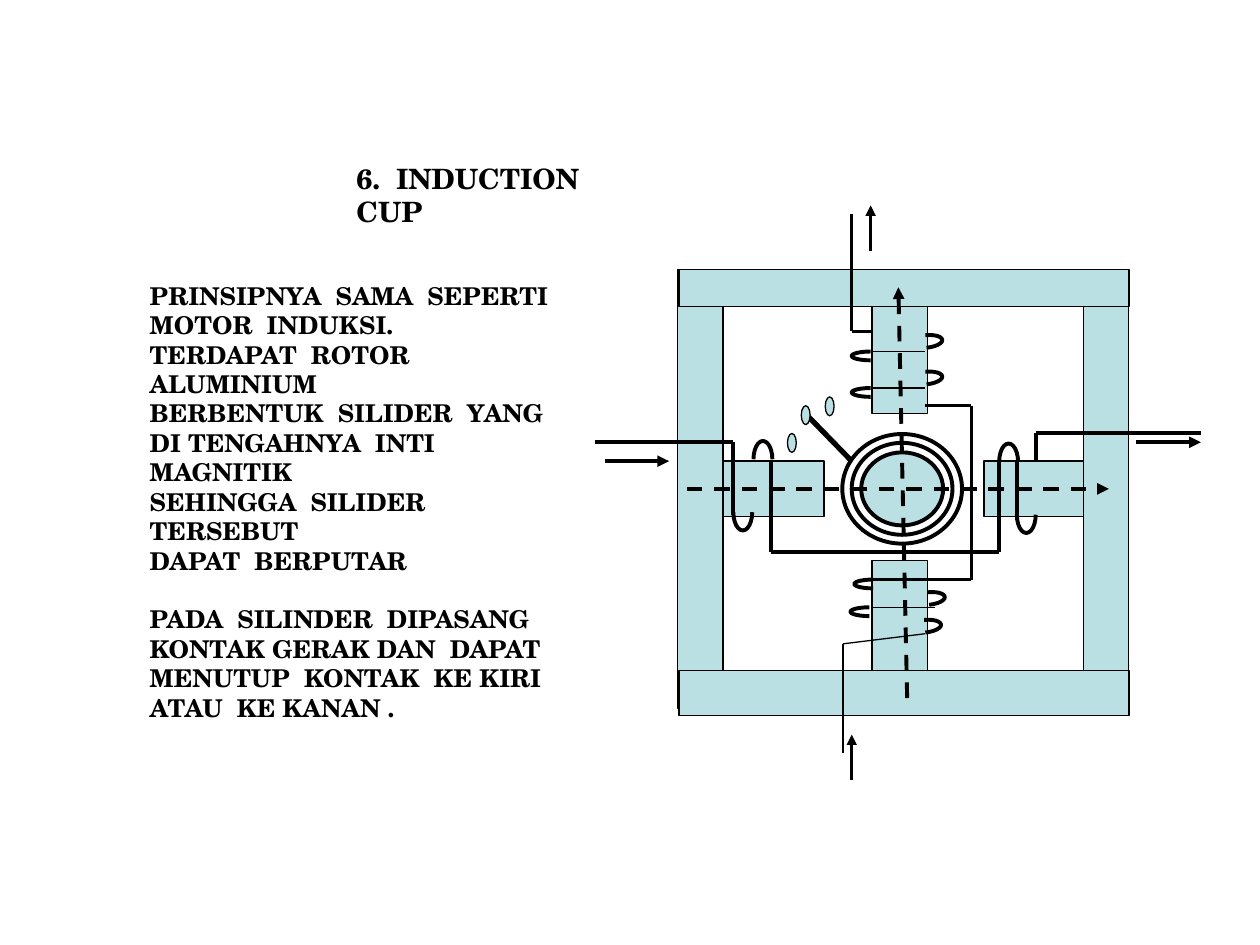
from itertools import pairwise

from pptx import Presentation
from pptx.dml.color import RGBColor
from pptx.enum.dml import MSO_LINE
from pptx.enum.shapes import MSO_CONNECTOR, MSO_SHAPE
from pptx.oxml.ns import qn
from pptx.util import Inches, Pt
from lxml.etree import SubElement

FONT = "TeX Gyre Schola"
COLORS = {"ink": "000000", "iron": "BBE0E3"}
# Start and end angles of half an ellipse, clockwise from the right
HALVES = {"top": (180, 0), "bottom": (0, 180), "left": (90, 270), "right": (270, 90)}
BODY = [
    "PRINSIPNYA  SAMA  SEPERTI",
    "MOTOR  INDUKSI.",
    "TERDAPAT  ROTOR  ALUMINIUM",
    "BERBENTUK  SILIDER  YANG",
    "DI TENGAHNYA  INTI MAGNITIK",
    "SEHINGGA  SILIDER  TERSEBUT",
    "DAPAT  BERPUTAR",
    "PADA  SILINDER  DIPASANG",
    "KONTAK GERAK DAN  DAPAT",
    "MENUTUP  KONTAK  KE KIRI",
    "ATAU  KE KANAN .",
]
SECOND_PART = 7


def color(name):
    return RGBColor.from_string(COLORS[name])


class Diagram:
    """Draws on the page with lengths in inches from its own top left corner."""

    def __init__(self, page, left, top):
        self.shapes, self.left, self.top = page.shapes, left, top

    def point(self, x, y):
        return Inches(self.left + x), Inches(self.top + y)

    def shape(self, kind, x, y, width, height, weight=0.75, fill="iron"):
        shape = self.shapes.add_shape(kind, *self.point(x, y), Inches(width), Inches(height))
        shape.shadow.inherit = False
        if fill:
            shape.fill.solid()
            shape.fill.fore_color.rgb = color(fill)
        else:
            shape.fill.background()
        shape.line.color.rgb = color("ink")
        shape.line.width = Pt(weight)
        return shape

    def loop(self, half, x, y, width, height, tilt=0):
        """Draws one half of the ellipse that fills the given box."""
        arc = self.shape(MSO_SHAPE.ARC, x, y, width, height, 2.25, None)
        for index, angle in enumerate(HALVES[half]):
            arc.adjustments[index] = angle * 0.6  # 60000ths of a degree over 100000
        arc.rotation = tilt

    def wire(self, weight, *points):
        """Joins the points with straight lines and returns the last line."""
        for start, end in pairwise(points):
            line = self.shapes.add_connector(
                MSO_CONNECTOR.STRAIGHT, *self.point(*start), *self.point(*end))
            line.line.color.rgb = color("ink")
            line.line.width = Pt(weight)
            SubElement(line._element.spPr, qn("a:effectLst"))
        return line

    def arrow(self, weight, start, end, dashed=False):
        line = self.wire(weight, start, end).line
        if dashed:
            line.dash_style = MSO_LINE.DASH
        SubElement(line._get_or_add_ln(), qn("a:tailEnd"), type="triangle")


def draw_core(diagram):
    center_x, center_y = 2.44, 2.25
    for width, height, fill in [(0.65, 0.58, "iron"), (0.95, 0.87, None), (0.8, 0.73, None)]:
        diagram.shape(MSO_SHAPE.OVAL, center_x - width / 2, center_y - height / 2,
                      width, height, 2.25, fill)
    poles = [(3.09, 2.03, 0.8, 0.44), (1.02, 2.03, 0.8, 0.44),
             (2.2, 0.79, 0.44, 0.86), (2.2, 2.82, 0.44, 0.87)]
    yoke = [(0.66, 0.51, 0.36, 3.48), (3.88, 0.52, 0.36, 3.48),
            (0.67, 3.69, 3.57, 0.36), (0.67, 0.51, 3.57, 0.29)]
    for bar in poles + yoke:
        diagram.shape(MSO_SHAPE.RECTANGLE, *bar)


def draw_side_coils(diagram):
    for half, x, y in [("top", 3.21, 1.89), ("top", 1.26, 1.87),
                       ("bottom", 3.35, 2.31), ("bottom", 1.1, 2.29)]:
        diagram.loop(half, x, y, 0.15, 0.29)
    diagram.wire(2.25, (0, 1.88), (1.1, 1.88), (1.1, 2.46))
    diagram.wire(2.25, (1.4, 2.03), (1.4, 2.75), (3.21, 2.75), (3.21, 2.03))
    diagram.wire(2.25, (3.35, 2.03), (3.35, 2.46))
    diagram.wire(2.25, (3.5, 2.03), (3.5, 1.81), (4.81, 1.81))


def draw_upright_coils(diagram):
    for x, y in [(2.04, 1.16), (2.04, 1.45), (2.06, 2.97), (2.03, 3.19)]:
        diagram.loop("left", x, y, 0.3, 0.07)
    for x, y in [(2.5, 1.03), (2.5, 1.32), (2.52, 3.07), (2.49, 3.29)]:
        diagram.loop("right", x, y, 0.26, 0.1, tilt=-5.4)
    for y, end in [(1.16, 2.62), (1.45, 2.62), (3.19, 2.7)]:
        diagram.wire(0.75, (2.19, y), (end, y))
    diagram.wire(1.5, (2.04, 0.07), (2.04, 1), (2.19, 1))
    diagram.wire(1.5, (2.62, 1.59), (2.99, 1.59), (2.99, 2.97), (2.19, 2.97))
    diagram.wire(0.75, (2.62, 3.4), (1.97, 3.48), (1.97, 4.35))


def draw_currents_and_fluxes(diagram):
    diagram.arrow(2.25, (0.08, 2.03), (0.59, 2.03))
    diagram.arrow(2.25, (4.3, 1.88), (4.81, 1.88))
    diagram.arrow(1.5, (2.19, 0.36), (2.19, 0))
    diagram.arrow(1.5, (2.04, 4.56), (2.04, 4.2))
    diagram.arrow(2.25, (0.73, 2.25), (4.08, 2.25), dashed=True)
    diagram.arrow(2.25, (2.48, 3.91), (2.41, 0.65), dashed=True)


def draw_contacts(diagram):
    diagram.wire(3, (2.04, 2.03), (1.68, 1.66))
    for x, y in [(1.53, 1.81), (1.64, 1.59), (1.83, 1.52)]:
        diagram.shape(MSO_SHAPE.OVAL, x, y, 0.07, 0.15)


def add_text(page, box, lines, size):
    frame = page.shapes.add_textbox(*map(Inches, box)).text_frame
    frame.word_wrap = True
    frame.text = "\n".join(lines)
    for para in frame.paragraphs:
        para.font.name = FONT
        para.font.size = Pt(size)
        para.font.bold = True
        para.font.color.rgb = color("ink")
    return frame


def main():
    deck = Presentation()
    deck.slide_width, deck.slide_height = Inches(10), Inches(7.5)
    page = deck.slides.add_slide(deck.slide_layouts[6])

    diagram = Diagram(page, 4.72, 1.63)
    draw_core(diagram)
    draw_side_coils(diagram)
    draw_upright_coils(diagram)
    draw_currents_and_fluxes(diagram)
    draw_contacts(diagram)

    add_text(page, (2.73, 1.23, 2.4, 0.37), ["6.  INDUCTION  CUP"], 16)
    body = add_text(page, (1.09, 2.18, 3.44, 2.9), BODY, 14)
    body.paragraphs[SECOND_PART].space_before = Pt(16.8)

    deck.save("out.pptx")


if __name__ == "__main__":
    main()
